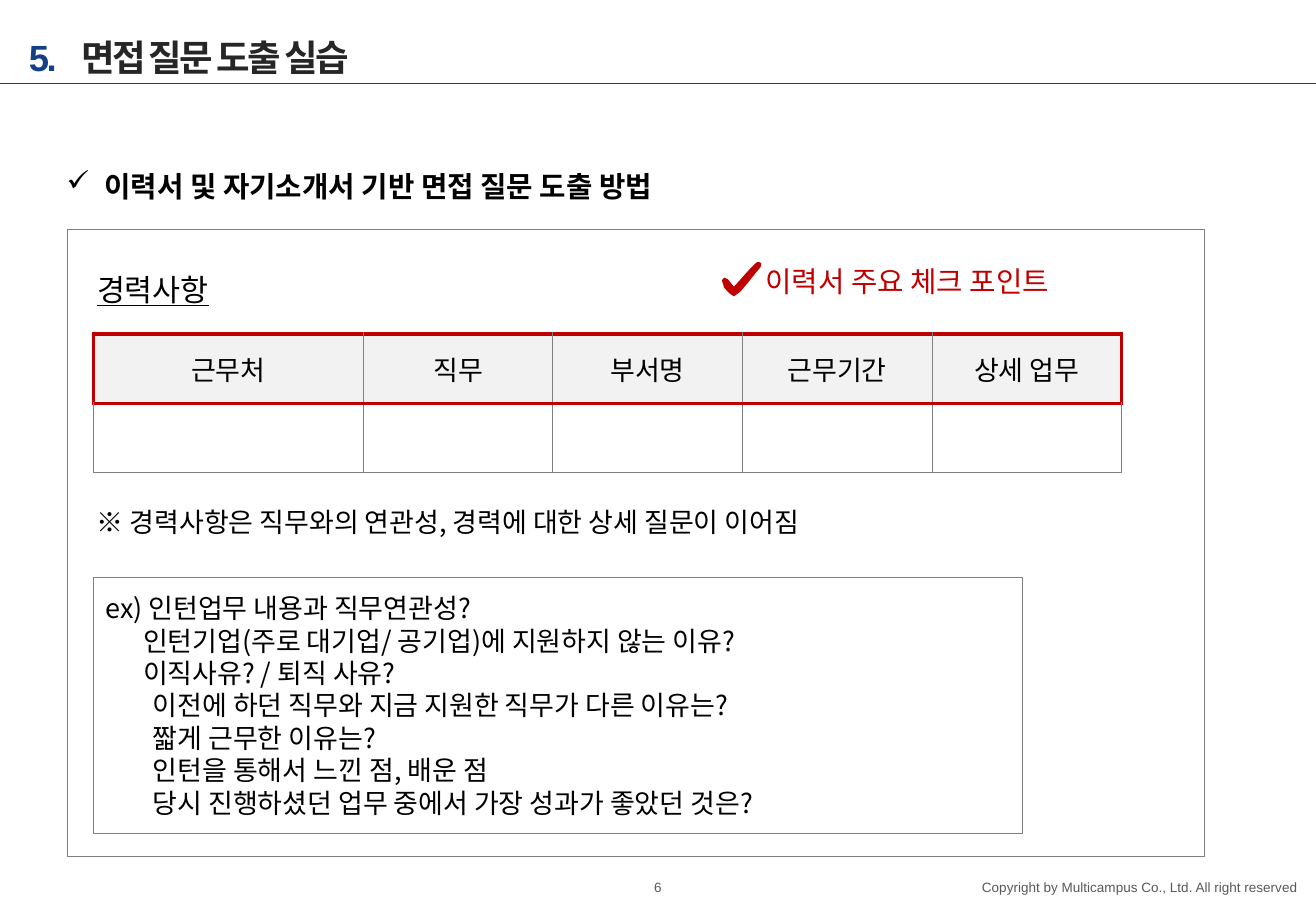
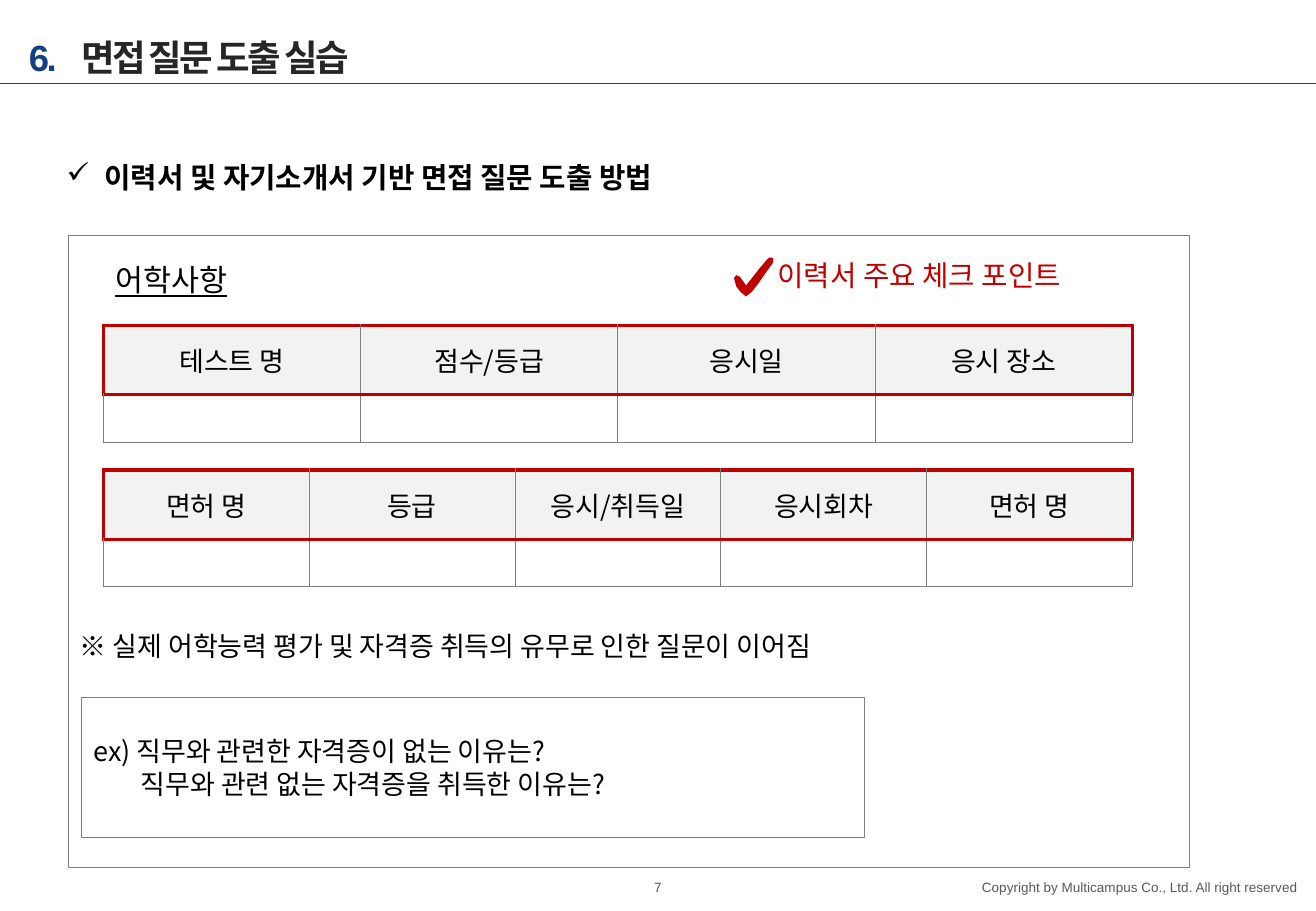
from lxml import etree
from pptx import Presentation
from pptx.dml.color import RGBColor
from pptx.enum import shapes, text
from pptx.oxml import ns
from pptx.util import Inches, Pt

NAVY = RGBColor(0x13, 0x3F, 0x86)
INK = RGBColor(0x26, 0x26, 0x26)
BLACK = RGBColor(0x00, 0x00, 0x00)
WHITE = RGBColor(0xFF, 0xFF, 0xFF)
GREY = RGBColor(0x80, 0x80, 0x80)
FOOTER_GREY = RGBColor(0x59, 0x59, 0x59)
HEADER_FILL = RGBColor(0xF2, 0xF2, 0xF2)
RED = RGBColor(0xC0, 0x00, 0x00)
KOREAN = "Noto Sans CJK KR"
LATIN = "Arial"

TITLE = "면접 질문 도출 실습"
HEADING = "이력서 및 자기소개서 기반 면접 질문 도출 방법"
CHECK_LABEL = "이력서 주요 체크 포인트"
COPYRIGHT = "Copyright by Multicampus Co., Ltd. All right reserved"
TABLE_WIDTH = 8.47
HEADER_HEIGHT = 0.57
HANGING = 0.39
CHECK_HEIGHT = 330
CHECK_OUTLINE = [
    (310, 10), (290, 10), (270, 30), (210, 100), (140, 190), (100, 240),
    (50, 170), (20, 155), (0, 180), (20, 250), (60, 300), (100, 330),
    (150, 290), (210, 210), (280, 110), (320, 55), (325, 20),
]

SLIDES = [
    {
        "number": "5.", "page": "6", "heading_top": 1.34,
        "panel": (0.55, 1.89, 9.36, 5.16),
        "section": "경력사항", "section_at": (0.7, 2.18),
        "check_at": (5.94, 2.15), "check_height": 0.29, "label_at": (6.2, 2.12),
        "tables": [
            (0.77, 2.75, 0.57, [2.22, 1.56, 1.56, 1.56, 1.56],
             ["근무처", "직무", "부서명", "근무기간", "상세 업무"]),
        ],
        "note": "※ 경력사항은 직무와의 연관성, 경력에 대한 상세 질문이 이어짐",
        "note_at": (0.7, 4.11),
        "example_box": (0.77, 4.75, 7.64, 2.11),
        "examples": [
            ("ex) 인턴업무 내용과 직무연관성?", HANGING),
            ("인턴기업(주로 대기업/ 공기업)에 지원하지 않는 이유?", 0.31),
            ("이직사유? / 퇴직 사유?", 0.31),
            ("이전에 하던 직무와 지금 지원한 직무가 다른 이유는?", HANGING),
            ("짧게 근무한 이유는?", HANGING),
            ("인턴을 통해서 느낀 점, 배운 점", HANGING),
            ("당시 진행하셨던 업무 중에서 가장 성과가 좋았던 것은?", HANGING),
        ],
    },
    {
        "number": "6.", "page": "7", "heading_top": 1.27,
        "panel": (0.56, 1.94, 9.23, 5.2),
        "section": "어학사항", "section_at": (0.85, 2.1),
        "check_at": (6.04, 2.11), "check_height": 0.33, "label_at": (6.3, 2.07),
        "tables": [
            (0.85, 2.68, 0.39, [TABLE_WIDTH / 4] * 4,
             ["테스트 명", "점수/등급", "응시일", "응시 장소"]),
            (0.85, 3.87, 0.39, [TABLE_WIDTH / 5] * 5,
             ["면허 명", "등급", "응시/취득일", "응시회차", "면허 명"]),
        ],
        "note": "※ 실제 어학능력 평가 및 자격증 취득의 유무로 인한 질문이 이어짐",
        "note_at": (0.56, 5.13),
        "example_box": (0.67, 5.74, 6.44, 1.15),
        "examples": [
            ("ex) 직무와 관련한 자격증이 없는 이유는?", HANGING),
            ("직무와 관련 없는 자격증을 취득한 이유는?", HANGING),
        ],
    },
]


def add_run(paragraph, words, size, color=BLACK, font=KOREAN, bold=False, spacing=None):
    run = paragraph.add_run()
    run.text = words
    run.font.size = Pt(size)
    run.font.bold = bold
    run.font.color.rgb = color
    run.font.name = font
    properties = run.font._element
    etree.SubElement(properties, ns.qn("a:ea"), typeface=KOREAN)
    if spacing is not None:
        properties.set("spc", str(spacing))
    return run


def add_text_box(slide, left, top, width, height, wrap=True):
    shape = slide.shapes.add_textbox(Inches(left), Inches(top), Inches(width), Inches(height))
    shape.text_frame.word_wrap = wrap
    return shape.text_frame


presentation = Presentation()
presentation.slide_width = Inches(10.83)
presentation.slide_height = Inches(7.5)

for content in SLIDES:
    slide = presentation.slides.add_slide(presentation.slide_layouts[6])

    title_rule = slide.shapes.add_connector(
        shapes.MSO_CONNECTOR.STRAIGHT, 0, Inches(0.69), presentation.slide_width, Inches(0.69))
    title_rule.line.color.rgb = NAVY
    title_rule.line.width = Pt(0.5)
    etree.SubElement(title_rule._element.spPr, ns.qn("a:effectLst"))

    frame = add_text_box(slide, 5.26, 7.22, 0.31, 0.17, wrap=False)
    frame.margin_left = frame.margin_right = frame.margin_top = frame.margin_bottom = 0
    frame.vertical_anchor = text.MSO_ANCHOR.MIDDLE
    frame.paragraphs[0].alignment = text.PP_ALIGN.CENTER
    add_run(frame.paragraphs[0], content["page"], 8, FOOTER_GREY, LATIN)

    frame = add_text_box(slide, 8.02, 7.19, 2.76, 0.24, wrap=False)
    frame.margin_left = 0
    frame.paragraphs[0].alignment = text.PP_ALIGN.RIGHT
    add_run(frame.paragraphs[0], COPYRIGHT, 8, FOOTER_GREY, LATIN)

    frame = add_text_box(slide, 0.14, 0.07, 7.35, 0.61)
    frame.vertical_anchor = text.MSO_ANCHOR.MIDDLE
    paragraph = frame.paragraphs[0]
    properties = paragraph._p.get_or_add_pPr()
    properties.set("marL", str(Inches(0.43)))
    properties.set("indent", str(-Inches(0.43)))
    tabs = etree.SubElement(properties, ns.qn("a:tabLst"))
    etree.SubElement(tabs, ns.qn("a:tab"), pos=str(Inches(0.43)), algn="l")
    paragraph.line_spacing = 1.5
    add_run(paragraph, content["number"] + "\t", 21.6, NAVY, LATIN, True, -150)
    add_run(paragraph, TITLE, 21.6, INK, KOREAN, True, -150)

    frame = add_text_box(slide, 0.45, content["heading_top"], 10.26, 0.39)
    paragraph = frame.paragraphs[0]
    properties = paragraph._p.get_or_add_pPr()
    properties.set("marL", str(Inches(0.31)))
    properties.set("indent", str(-Inches(0.31)))
    etree.SubElement(properties, ns.qn("a:buChar"), char="✓")
    add_run(paragraph, HEADING, 17, BLACK, LATIN, True)

    frames = []
    for box in (content["panel"], content["example_box"]):
        shape = slide.shapes.add_shape(
            shapes.MSO_SHAPE.RECTANGLE, *[Inches(length) for length in box])
        shape.shadow.inherit = False
        shape.fill.solid()
        shape.fill.fore_color.rgb = WHITE
        shape.line.color.rgb = GREY
        shape.line.width = Pt(0.25)
        frames.append(shape.text_frame)

    frame = frames[1]
    frame.word_wrap = True
    frame.vertical_anchor = text.MSO_ANCHOR.MIDDLE
    for index, (question, indent) in enumerate(content["examples"]):
        paragraph = frame.paragraphs[0] if index == 0 else frame.add_paragraph()
        paragraph.alignment = text.PP_ALIGN.LEFT
        properties = paragraph._p.get_or_add_pPr()
        properties.set("marL", str(Inches(indent)))
        properties.set("indent", str(-Inches(indent) if index == 0 else 0))
        add_run(paragraph, question, 16)

    frame = add_text_box(slide, *content["section_at"], 1.12, 0.4, wrap=False)
    add_run(frame.paragraphs[0], content["section"], 18).font.underline = True

    frame = add_text_box(slide, *content["note_at"], 9.06, 0.37)
    frame.paragraphs[0].alignment = text.PP_ALIGN.JUSTIFY
    add_run(frame.paragraphs[0], content["note"], 16)

    check_left, check_top = content["check_at"]
    scale = (Inches(0.001), Inches(content["check_height"]) / CHECK_HEIGHT)
    builder = slide.shapes.build_freeform(*CHECK_OUTLINE[0], scale=scale)
    builder.add_line_segments(CHECK_OUTLINE[1:], close=True)
    check_mark = builder.convert_to_shape(Inches(check_left), Inches(check_top))
    check_mark.shadow.inherit = False
    check_mark.fill.solid()
    check_mark.fill.fore_color.rgb = RED
    check_mark.line.fill.background()

    frame = add_text_box(slide, *content["label_at"], 2.84, 0.39, wrap=False)
    add_run(frame.paragraphs[0], CHECK_LABEL, 17, RED)

    for left, top, body_height, widths, headers in content["tables"]:
        table = slide.shapes.add_table(
            2, len(headers), Inches(left), Inches(top),
            Inches(TABLE_WIDTH), Inches(HEADER_HEIGHT + body_height)).table
        table.rows[0].height = Inches(HEADER_HEIGHT)
        table.rows[1].height = Inches(body_height)
        last = len(headers) - 1
        for column, (width, header) in enumerate(zip(widths, headers)):
            table.columns[column].width = Inches(width)
            for row in range(2):
                cell = table.cell(row, column)
                is_header = row == 0
                red_edges = {
                    "lnL": is_header and column == 0,
                    "lnR": is_header and column == last,
                    "lnT": True,
                    "lnB": is_header,
                }
                properties = cell._tc.get_or_add_tcPr()
                for edge, is_red in red_edges.items():
                    line = etree.SubElement(
                        properties, ns.qn("a:" + edge), w=str(Pt(2.25 if is_red else 0.5)))
                    fill = etree.SubElement(line, ns.qn("a:solidFill"))
                    etree.SubElement(fill, ns.qn("a:srgbClr"), val=str(RED if is_red else GREY))
                cell.fill.solid()
                cell.fill.fore_color.rgb = HEADER_FILL if is_header else WHITE
                if is_header:
                    cell.vertical_anchor = text.MSO_ANCHOR.MIDDLE
                    cell.text_frame.paragraphs[0].alignment = text.PP_ALIGN.CENTER
                    add_run(cell.text_frame.paragraphs[0], header, 16)
                else:
                    cell.margin_top = cell.margin_bottom = 0

presentation.save("out.pptx")
